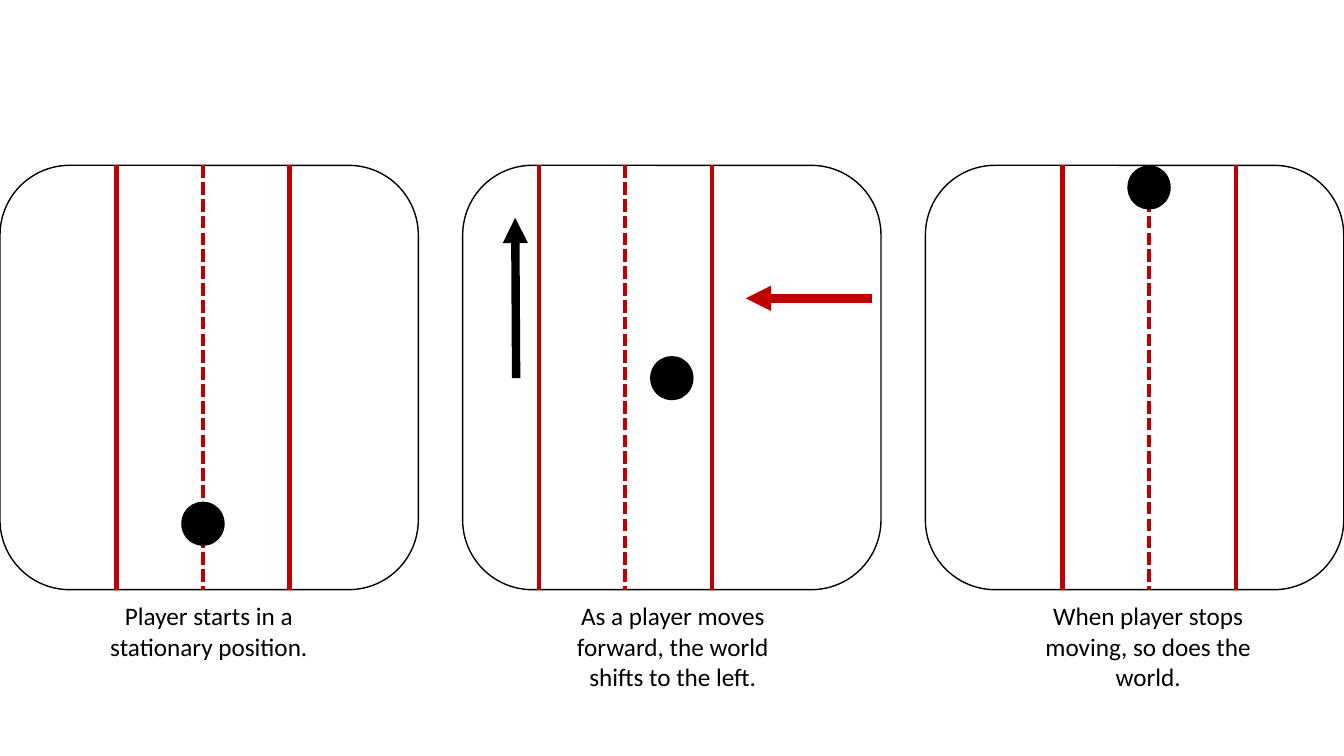
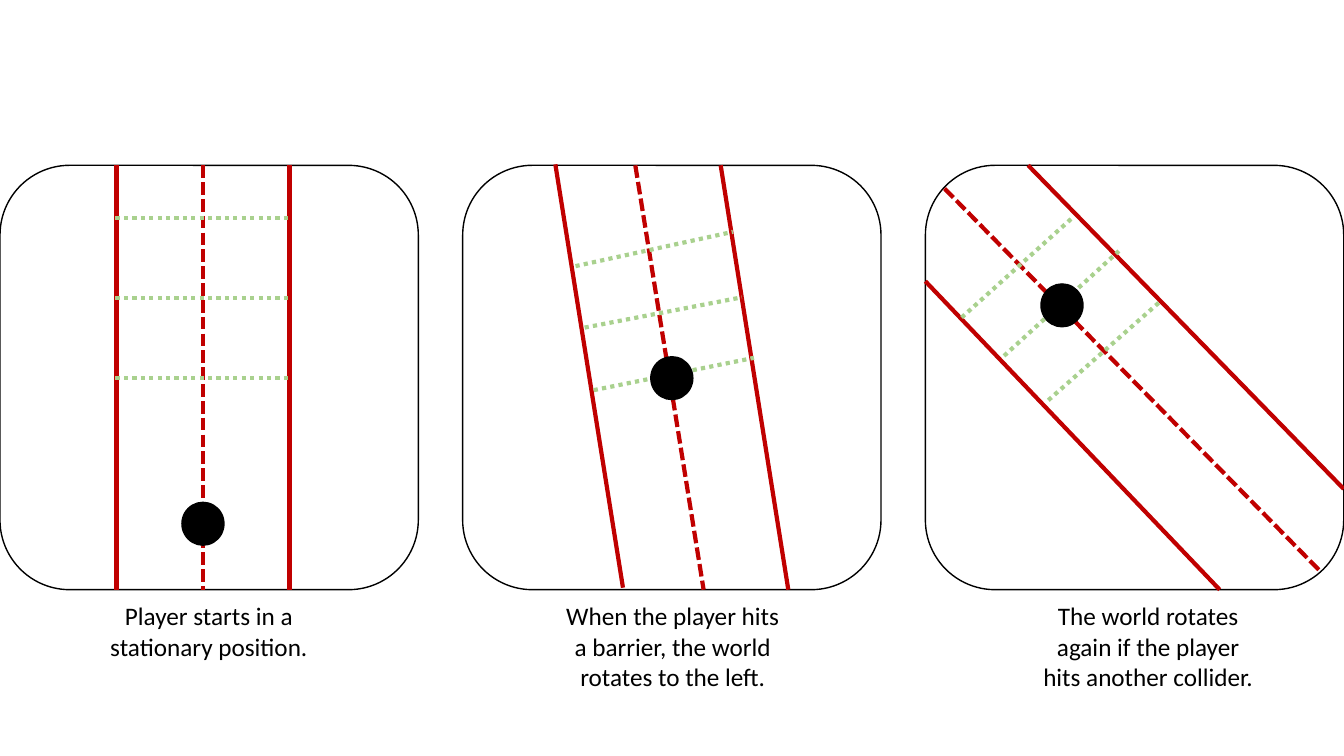
import dataclasses

import lxml.etree
import pptx
import pptx.dml.color
import pptx.enum.dml
import pptx.enum.shapes
import pptx.enum.text
import pptx.oxml.ns
import pptx.util

Pt = pptx.util.Pt
Dash = pptx.enum.dml.MSO_LINE
Preset = pptx.enum.shapes.MSO_SHAPE
qn = pptx.oxml.ns.qn


def rgb(value):
    return pptx.dml.color.RGBColor.from_string(value)


@dataclasses.dataclass(frozen=True)
class Theme:
    ink = rgb("000000")
    paper = rgb("FFFFFF")
    lane = rgb("C00000")
    barrier = rgb("A9D18E")
    font = "Calibri"
    caption_size = Pt(18)
    outline = Pt(1)
    stroke = Pt(3)
    arrow = Pt(6)


THEME = Theme()
STROKES = {
    "edge": {"width": THEME.stroke},
    "centre": {"width": THEME.stroke, "dash_style": Dash.SQUARE_DOT},
    "barrier": {"width": THEME.stroke, "dash_style": Dash.ROUND_DOT},
    "arrow": {"width": THEME.arrow},
}

# Panel grid, and caption centre and size relative to each panel
PANEL_W, PANEL_H, PANEL_TOP, PITCH = 298.8, 303.1, 118.1, 330.5
CAPTIONS = [(149.2, 171.4, 51), (150.1, 177.8, 73), (159.1, 171.4, 73)]
CAPTION_DROP = 307.4
PLAYER_W, PLAYER_H = 31, 31.6
HALF_LANE = 61.8


def apply_format(target, values):
    for attribute, value in values.items():
        setattr(target, attribute, value)


def add_stroke(slide, box, ends, kind, color, arrowhead=False):
    left, top = box
    x1, y1, x2, y2 = ends
    stroke = slide.shapes.add_connector(
        pptx.enum.shapes.MSO_CONNECTOR.STRAIGHT,
        Pt(left + x1), Pt(top + y1), Pt(left + x2), Pt(top + y2))
    stroke.line.color.rgb = color
    apply_format(stroke.line, STROKES[kind])
    properties = stroke._element.spPr
    if arrowhead:
        outline = properties.find(qn("a:ln"))
        lxml.etree.SubElement(outline, qn("a:tailEnd"), type="triangle")
    lxml.etree.SubElement(properties, qn("a:effectLst"))


def add_solid(slide, preset, left, top, width, height, fill):
    solid = slide.shapes.add_shape(
        preset, Pt(left), Pt(top), Pt(width), Pt(height))
    solid.shadow.inherit = False
    solid.fill.solid()
    solid.fill.fore_color.rgb = fill
    return solid


def add_frame(slide, box):
    frame = add_solid(slide, Preset.ROUNDED_RECTANGLE, *box,
                      PANEL_W, PANEL_H, THEME.paper)
    frame.line.color.rgb = THEME.ink
    frame.line.width = THEME.outline


def add_player(slide, box, centre):
    player = add_solid(slide, Preset.OVAL,
                       box[0] + centre[0] - PLAYER_W / 2,
                       box[1] + centre[1] - PLAYER_H / 2,
                       PLAYER_W, PLAYER_H, THEME.ink)
    player.line.fill.background()


def add_caption(slide, box, placement, words):
    middle, width, height = placement
    caption = slide.shapes.add_textbox(
        Pt(box[0] + middle - width / 2), Pt(box[1] + CAPTION_DROP),
        Pt(width), Pt(height)).text_frame
    apply_format(caption, {
        "word_wrap": True,
        "auto_size": pptx.enum.text.MSO_AUTO_SIZE.SHAPE_TO_FIT_TEXT,
        "text": words,
    })
    paragraph = caption.paragraphs[0]
    paragraph.alignment = pptx.enum.text.PP_ALIGN.CENTER
    font = paragraph.runs[0].font
    apply_format(font, {"name": THEME.font, "size": THEME.caption_size})
    font.color.rgb = THEME.ink


def add_panel(slide, box, placement, scene):
    add_frame(slide, box)
    # Lane: left edge, right edge, centre line
    for kind, ends in zip(("edge", "edge", "centre"), scene["lane"]):
        add_stroke(slide, box, ends, kind, THEME.lane)
    for ends in scene.get("barriers", []):
        add_stroke(slide, box, ends, "barrier", THEME.barrier)
    # Movement arrows
    for ends, color in scene.get("arrows", []):
        add_stroke(slide, box, ends, "arrow", color, arrowhead=True)
    add_player(slide, box, scene["player"])
    add_caption(slide, box, placement, scene["caption"])


def add_storyboard(deck, scenes):
    slide = deck.slides.add_slide(deck.slide_layouts[6])
    for step, (placement, scene) in enumerate(zip(CAPTIONS, scenes)):
        add_panel(slide, (step * PITCH, PANEL_TOP), placement, scene)


def upright_lane(centre):
    return [(x, 0, x, PANEL_H)
            for x in (centre - HALF_LANE, centre + HALF_LANE, centre)]


# Scenes, in points from the top left of their panel
START = {
    "caption": "Player starts in a stationary position.",
    "lane": upright_lane(145),
    "player": (145, 256),
}
SHIFTING = [
    START,
    {
        "caption": "As a player moves forward, the world shifts to the left.",
        "lane": upright_lane(116.2),
        "player": (149.4, 152),
        "arrows": [((292.3, 95, 202.3, 95), THEME.lane),
                   ((38.2, 152, 37.5, 37.5), THEME.ink)],
    },
    {
        "caption": "When player stops moving, so does the world.",
        "lane": upright_lane(159.8),
        "player": (159.8, 15.8),
    },
]
ROTATING = [
    START | {"barriers": [(82.5, y, 207, y) for y in (37.5, 95, 152)]},
    {
        "caption": "When the player hits a barrier, the world rotates "
                   "to the left.",
        "lane": [(66.2, -0.7, 114.5, 301.7),
                 (184.3, 0, 232.6, PANEL_H),
                 (123.3, 0, 172.1, PANEL_H)],
        "barriers": [(93.6, 160.6, 208.1, 137.5),
                     (87.1, 115.9, 199.4, 94.3),
                     (80.6, 72, 193, 47.5)],
        "player": (149.4, 152),
    },
    {
        "caption": "The world rotates again if the player hits "
                   "another collider.",
        "lane": [(0, 82.8, 210.2, PANEL_H),
                 (73.4, 0, PANEL_W, 231.1),
                 (13.7, 16.6, 281.5, 289.4)],
        "barriers": [(25.9, 108.7, 105.1, 37.4),
                     (56.2, 136.1, 138.2, 61.2),
                     (87.8, 167.8, 167.8, 97.2)],
        "player": (97.6, 100),
    },
]

deck = pptx.Presentation()
apply_format(deck, {"slide_width": Pt(960), "slide_height": Pt(540)})
for scenes in (SHIFTING, ROTATING):
    add_storyboard(deck, scenes)
deck.save("out.pptx")
